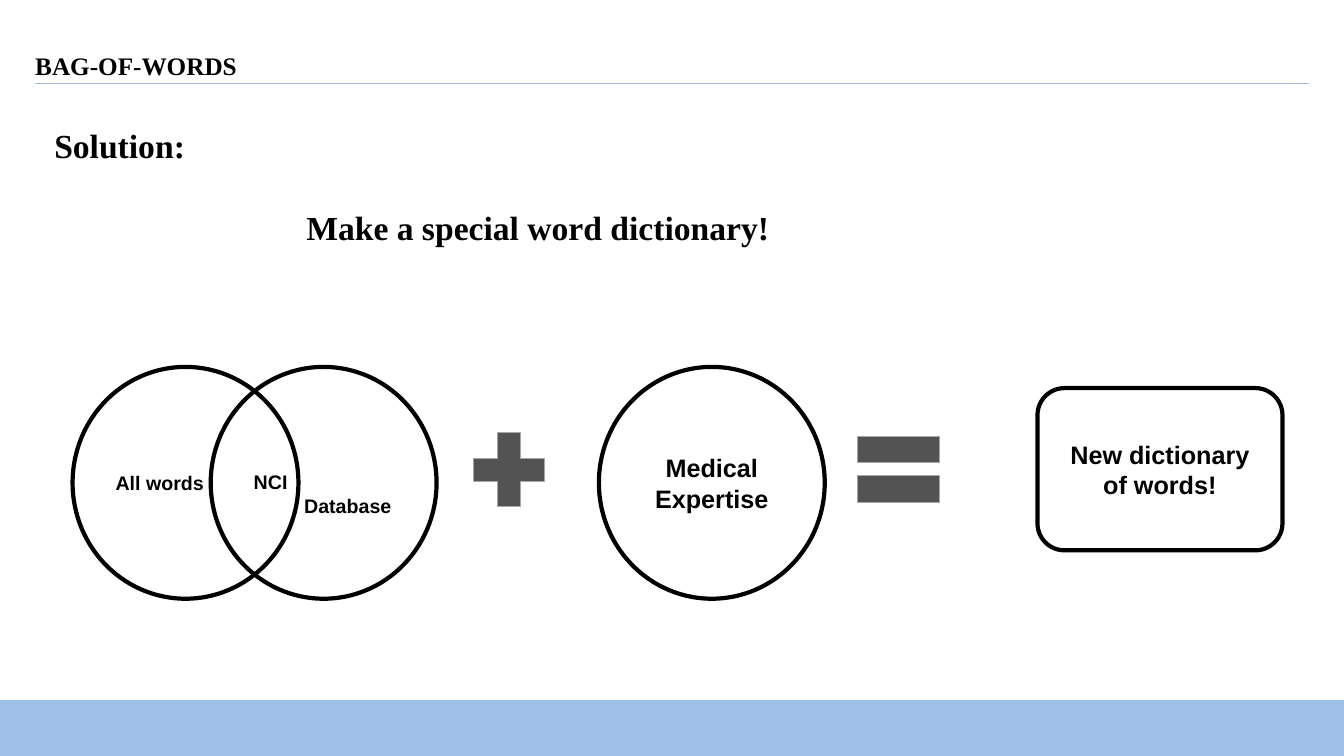
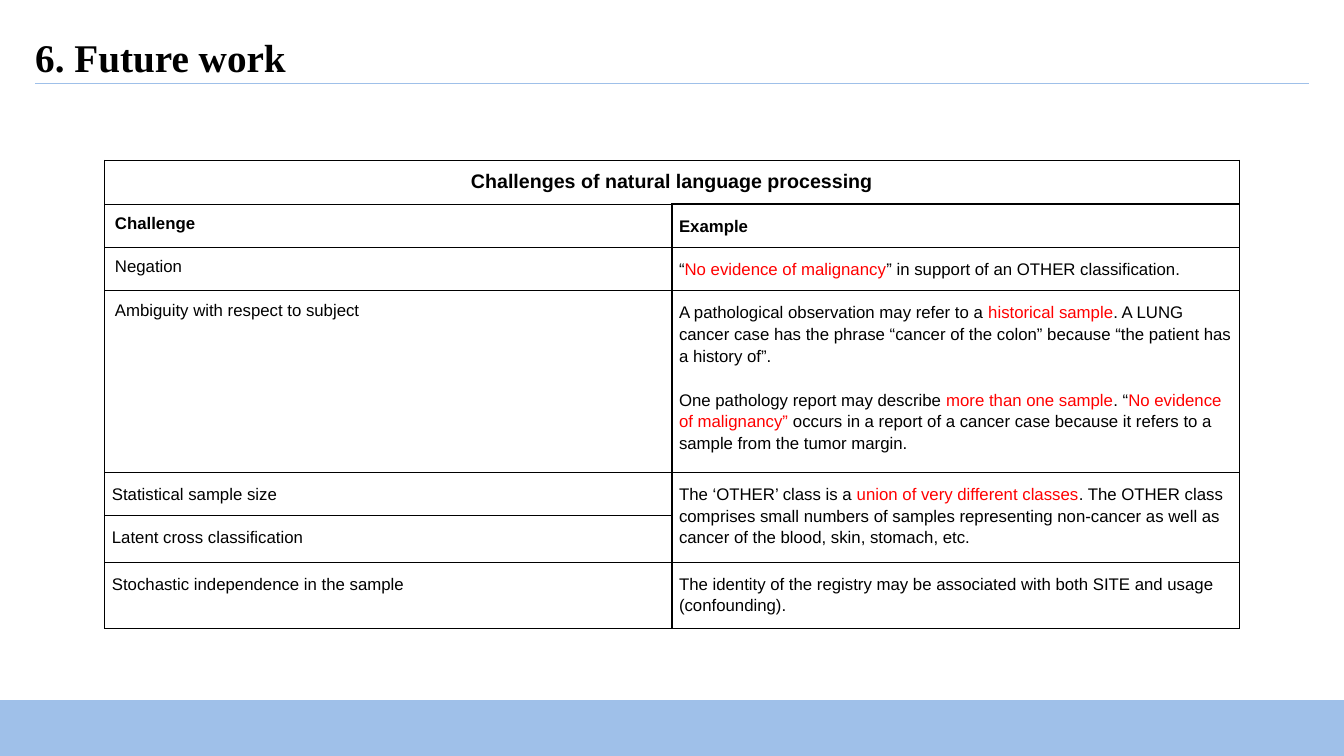
from lxml.etree import SubElement
from pptx import Presentation
from pptx.dml.color import RGBColor
from pptx.enum.shapes import MSO_CONNECTOR, MSO_SHAPE
from pptx.enum.text import MSO_ANCHOR, PP_ALIGN
from pptx.oxml.ns import qn
from pptx.util import Pt

UNIT = 9144
WIDE, HIGH = 1333, 750
INK = {
    "text": "000000",
    "band": "9FC0E9",
    "sign": "535353",
    "edge": "A7A7A7",
    "mark": "FF0000",
}
SERIF, SANS = "Times New Roman", "Arial"
TITLE = "Challenges of natural language processing"
ROWS = [
    (42, [TITLE], []),
    (42, ["Challenge"], ["Example"]),
    (42, ["Negation"], ["“|No evidence of malignancy|” in support of an OTHER classification."]),
    (171, ["Ambiguity with respect to subject"], [
        "A pathological observation may refer to a |historical sample|. A LUNG cancer case has "
        "the phrase “cancer of the colon” because “the patient has a history of”.",
        "One pathology report may describe |more than one sample|. “|No evidence of malignancy” "
        "|occurs in a report of a cancer case because it refers to a sample from the tumor margin.",
    ]),
    (42, ["Statistical sample size"], [
        "The ‘OTHER’ class is a |union of very different classes|. The OTHER class comprises small "
        "numbers of samples representing non-cancer as well as cancer of the blood, skin, stomach, etc.",
    ]),
    (42, ["Latent cross classification"], []),
    (63, ["Stochastic independence in the sample"], [
        "The identity of the registry may be associated with both SITE and usage (confounding).",
    ]),
]


def px(*nums):
    return [round(n * UNIT) for n in nums]


def tint(name):
    return RGBColor.from_string(INK[name])


def write(frame, lines, size, face=SANS, bold=True, align=None, lead=None, gap=0):
    for i, line in enumerate(lines):
        para = frame.paragraphs[0] if i == 0 else frame.add_paragraph()
        font = para.font
        font.size, font.name, font.bold = Pt(size), face, bold
        font.color.rgb = tint("text")
        if align is not None:
            para.alignment = align
        if lead:
            para.line_spacing = lead
        if i and gap:
            para.space_before = Pt(gap)
        for n, part in enumerate(line.split("|")):
            run = para.add_run()
            run.text = part
            run.font.size, run.font.name, run.font.bold = Pt(size), face, bold
            run.font.color.rgb = tint("mark" if n % 2 else "text")


def inset(item, side, top, foot=None):
    item.margin_left = item.margin_right = px(side)[0]
    item.margin_top = px(top)[0]
    item.margin_bottom = px(top if foot is None else foot)[0]


def indent(para, left):
    para._p.get_or_add_pPr().set("marL", str(px(left)[0]))


def label(slide, box, lines, size, pad=0, anchor=MSO_ANCHOR.TOP, **style):
    frame = slide.shapes.add_textbox(*px(*box)).text_frame
    frame.word_wrap = True
    frame.vertical_anchor = anchor
    inset(frame, pad, pad)
    write(frame, lines, size, **style)
    return frame


def shape(slide, kind, box, fill=None, line="text", width=3):
    item = slide.shapes.add_shape(kind, *px(*box))
    item.shadow.inherit = False
    if fill:
        item.fill.solid()
        item.fill.fore_color.rgb = tint(fill)
    else:
        item.fill.background()
    item.line.color.rgb = tint(line)
    item.line.width = Pt(width)
    return item


def node(slide, kind, box, lines, size, align=PP_ALIGN.CENTER, drop=0):
    frame = shape(slide, kind, box).text_frame
    frame.word_wrap = True
    frame.vertical_anchor = MSO_ANCHOR.MIDDLE
    inset(frame, 10, 10 + drop, 10)
    write(frame, lines, size, align=align)
    return frame


def sign(slide, kind, box, *ratios):
    item = shape(slide, kind, box, "sign", "edge", 0.75)
    for i, ratio in enumerate(ratios):
        item.adjustments[i] = ratio


def base(deck, title, size):
    slide = deck.slides.add_slide(deck.slide_layouts[6])
    shape(slide, MSO_SHAPE.RECTANGLE, (0, 695, WIDE, 55), "band", "band", 1)
    rule = slide.shapes.add_connector(MSO_CONNECTOR.STRAIGHT, *px(35, 83, 1298, 83))
    rule.line.color.rgb = tint("band")
    rule.line.width = Pt(1)
    SubElement(rule._element.spPr, qn("a:effectLst"))
    label(slide, (35, 20, 1263, 60), [title], size, anchor=MSO_ANCHOR.BOTTOM, face=SERIF, lead=0.9)
    return slide


def venn(slide, x, y, wide, high):
    step = 137
    side = wide - step
    left = PP_ALIGN.LEFT
    node(slide, MSO_SHAPE.OVAL, (x, y, side, high), ["All words"], 14, left)
    frame = node(slide, MSO_SHAPE.OVAL, (x + step, y, side, high), ["NCI", "Database"], 14, left, 22)
    indent(frame.paragraphs[1], 50)


def sums(slide, x, y, wide, high):
    venn(slide, x, y, 361, high)
    sign(slide, MSO_SHAPE.MATH_PLUS, (x + 385, y + 52, 96, 100), 0.235)
    node(slide, MSO_SHAPE.OVAL, (x + 522, y, 224, high), ["Medical Expertise"], 18)
    sign(slide, MSO_SHAPE.MATH_EQUAL, (x + 764, y + 46, 111, 111), 0.235, 0.118)
    node(slide, MSO_SHAPE.FLOWCHART_ALTERNATE_PROCESS, (x + wide - 243, y + 21, 243, 161),
         ["New dictionary of words!"], 18)


def border(cell, width):
    props = cell._tc.get_or_add_tcPr()
    for side in "LRTB":
        line = SubElement(props, qn("a:ln" + side), w=str(Pt(width)))
        fill = SubElement(line, qn("a:solidFill"))
        SubElement(fill, qn("a:srgbClr"), val=INK["text"])


def grid(slide, box):
    table = slide.shapes.add_table(len(ROWS), 2, *px(*box)).table
    table.first_row = table.horz_banding = False
    for col in table.columns:
        col.width = px(box[2] / 2)[0]
    for r, (high, *texts) in enumerate(ROWS):
        table.rows[r].height = px(high)[0]
        for c, lines in enumerate(texts):
            cell = table.cell(r, c)
            plain = c == 0 and r < 4
            inset(cell, 10 if plain else 7, 10)
            border(cell, 0.75 if plain else 1)
            cell.fill.background()
            write(cell.text_frame, lines, 12 if r else 14, bold=r < 2,
                  align=None if r else PP_ALIGN.CENTER, lead=None if plain else 1.15, gap=16)
    table.cell(0, 0).merge(table.cell(0, 1))
    table.cell(4, 1).merge(table.cell(5, 1))


def words(deck):
    slide = base(deck, "BAG-OF-WORDS", 18)
    frame = label(slide, (44, 114, 1206, 142), ["Solution:", "Make a special word dictionary!"],
                  24, 10, face=SERIF, gap=30)
    indent(frame.paragraphs[1], 250)
    sums(slide, 72, 364, 1200, 230)


def future(deck):
    slide = base(deck, "6. Future work", 28)
    grid(slide, (104, 159, 1125, sum(row[0] for row in ROWS)))


def main():
    deck = Presentation()
    deck.slide_width, deck.slide_height = px(WIDE, HIGH)
    words(deck)
    future(deck)
    deck.save("out.pptx")


if __name__ == "__main__":
    main()
